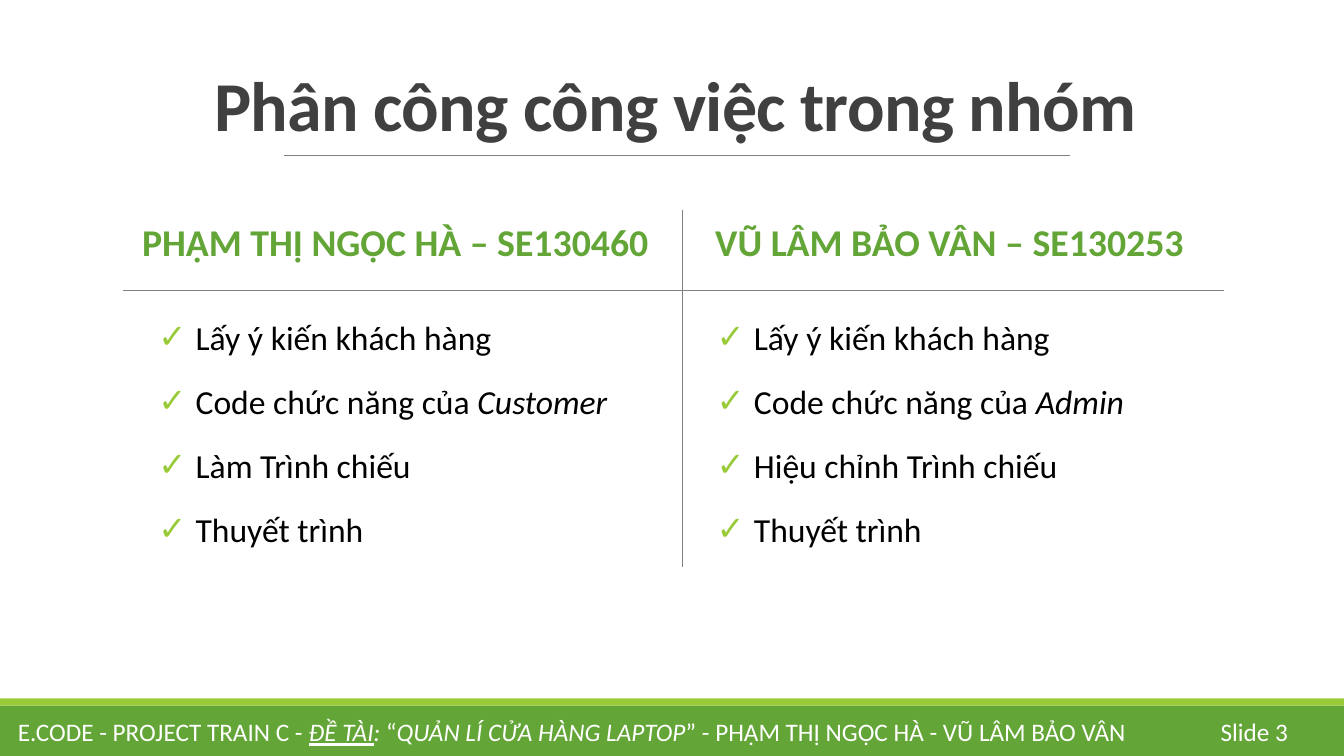
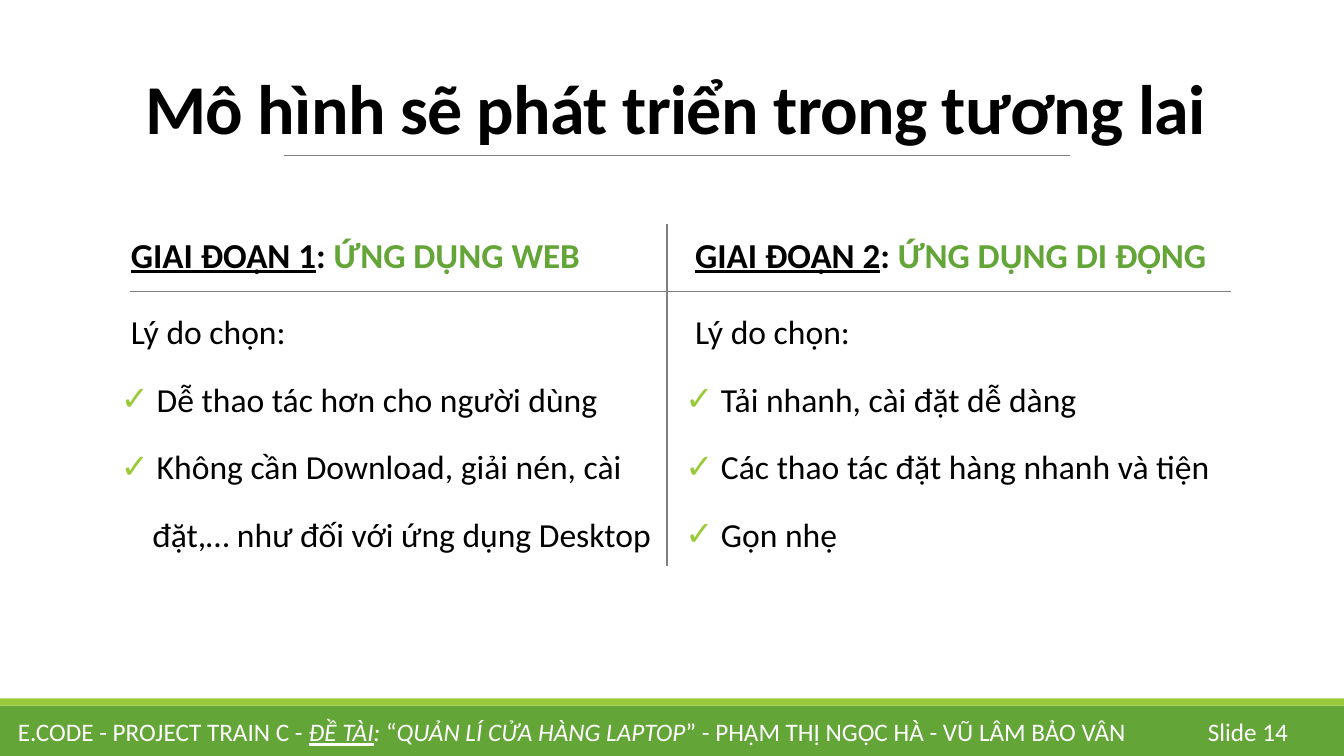
from dataclasses import dataclass

from lxml import etree
from pptx import Presentation
from pptx.dml.color import RGBColor
from pptx.enum.shapes import MSO_CONNECTOR, MSO_SHAPE
from pptx.enum.text import MSO_ANCHOR, MSO_AUTO_SIZE, PP_ALIGN
from pptx.oxml.ns import qn
from pptx.util import Cm, Pt

RECTANGLE = MSO_SHAPE.RECTANGLE
STRAIGHT = MSO_CONNECTOR.STRAIGHT
TOP, MIDDLE, BOTTOM = MSO_ANCHOR.TOP, MSO_ANCHOR.MIDDLE, MSO_ANCHOR.BOTTOM
LEFT, CENTER, RIGHT = PP_ALIGN.LEFT, PP_ALIGN.CENTER, PP_ALIGN.RIGHT
NO_AUTOFIT = MSO_AUTO_SIZE.NONE
TITLE_ONLY = 5


@dataclass(frozen=True)
class Theme:
    font: str = "Calibri"
    green: str = "63A537"
    lime: str = "99CB38"
    gray: str = "808080"
    dark: str = "404040"
    black: str = "000000"
    white: str = "FFFFFF"
    title_size: float = 50
    member_size: float = 27
    phase_size: float = 25
    body_size: float = 24
    footer_size: float = 18


THEME = Theme()


@dataclass(frozen=True)
class Box:
    """A frame in centimetres."""
    left: float
    top: float
    width: float
    height: float


@dataclass(frozen=True)
class Run:
    text: str
    color: str = THEME.black
    bold: bool = False
    italic: bool = False
    underline: bool = False


@dataclass(frozen=True)
class Line:
    """A paragraph; a checked one hangs its check mark in the indent."""
    runs: tuple[Run, ...]
    indent: float = 0
    checked: bool = False


@dataclass(frozen=True)
class TextStyle:
    size: float
    align: PP_ALIGN = LEFT
    anchor: MSO_ANCHOR = MIDDLE
    spacing: float = 1
    before: float = 0
    after: float = 0
    side_inset: float = 0.25


@dataclass(frozen=True)
class Column:
    header: Line
    header_box: Box
    header_align: PP_ALIGN
    lines: tuple[Line, ...]
    body_box: Box


@dataclass(frozen=True)
class Comparison:
    number: int
    title: str
    title_color: str
    title_box: Box
    header_size: float
    body_spacing: float
    columns: tuple[Column, Column]
    vertical: tuple[float, float, float, float]
    horizontal: tuple[float, float, float, float]


def write(shape, lines: tuple[Line, ...], style: TextStyle) -> None:
    frame = shape.text_frame
    frame.word_wrap = True
    frame.auto_size = NO_AUTOFIT
    frame.vertical_anchor = style.anchor
    frame.margin_left = frame.margin_right = Cm(style.side_inset)
    frame.margin_top = frame.margin_bottom = Cm(0.13)
    for index, line in enumerate(lines):
        paragraph = frame.add_paragraph() if index else frame.paragraphs[0]
        paragraph.alignment = style.align
        paragraph.line_spacing = style.spacing
        paragraph.space_before = Pt(style.before)
        paragraph.space_after = Pt(style.after)
        set_indent(paragraph, line)
        for part in line.runs:
            run = paragraph.add_run()
            run.text = part.text
            font = run.font
            font.name, font.size = THEME.font, Pt(style.size)
            font.bold, font.italic = part.bold, part.italic
            font.underline = part.underline
            font.color.rgb = RGBColor.from_string(part.color)


def set_indent(paragraph, line: Line) -> None:
    properties = paragraph._p.get_or_add_pPr()
    properties.set("marL", str(Cm(line.indent)))
    properties.set("indent", str(-Cm(line.indent) if line.checked else 0))
    if line.checked:
        color = etree.SubElement(properties, qn("a:buClr"))
        etree.SubElement(color, qn("a:srgbClr")).set("val", THEME.lime)
        etree.SubElement(properties, qn("a:buFont")).set("typeface", THEME.font)
        etree.SubElement(properties, qn("a:buChar")).set("char", "✓")


def place(shape, box: Box) -> None:
    shape.left, shape.top = Cm(box.left), Cm(box.top)
    shape.width, shape.height = Cm(box.width), Cm(box.height)


def add_text(slide, box: Box, lines: tuple[Line, ...], style: TextStyle) -> None:
    shape = slide.shapes.add_textbox(0, 0, 0, 0)
    place(shape, box)
    write(shape, lines, style)


def add_band(slide, top: float, height: float, color: str) -> None:
    band = slide.shapes.add_shape(RECTANGLE, 0, Cm(top), Cm(33.87), Cm(height))
    band.shadow.inherit = False
    band.fill.solid()
    band.fill.fore_color.rgb = RGBColor.from_string(color)
    band.line.fill.background()


def add_rule(slide, ends: tuple[float, float, float, float], width: float) -> None:
    rule = slide.shapes.add_connector(STRAIGHT, *(Cm(value) for value in ends))
    rule.line.color.rgb = RGBColor.from_string(THEME.gray)
    rule.line.width = Pt(width)
    etree.SubElement(rule._element.spPr, qn("a:effectLst"))


def add_frame(slide, number: int) -> None:
    """Draw the bands, title rule and footer that every slide has."""
    add_band(slide, 17.78, 1.27, THEME.green)
    add_band(slide, 17.6, 0.18, THEME.lime)
    add_rule(slide, (7.16, 3.91, 26.97, 3.91), 0.5)
    white = THEME.white
    footer = Line((
        Run("E.CODE - PROJECT TRAIN C - ", white),
        Run("ĐỀ TÀI", white, italic=True, underline=True),
        Run(": ", white, italic=True),
        Run("“", white),
        Run("QUẢN LÍ CỬA HÀNG LAPTOP", white, italic=True),
        Run("” - PHẠM THỊ NGỌC HÀ - VŨ LÂM BẢO VÂN", white),
    ))
    size = THEME.footer_size
    add_text(slide, Box(0.2, 17.93, 29.5, 1.02), (footer,), TextStyle(size))
    add_text(slide, Box(30.02, 17.93, 2.69, 1.02),
             (Line((Run(f"Slide {number}", white),)),), TextStyle(size, RIGHT))


def add_title(slide, content: Comparison) -> None:
    title = slide.shapes.title
    place(title, content.title_box)
    line = Line((Run(content.title, content.title_color, bold=True),))
    write(title, (line,), TextStyle(THEME.title_size, CENTER, BOTTOM, 0.85))
    for run in title.text_frame.paragraphs[0].runs:
        run._r.get_or_add_rPr().set("spc", "-50")


def add_comparison(presentation, content: Comparison) -> None:
    slide = presentation.slides.add_slide(presentation.slide_layouts[TITLE_ONLY])
    add_frame(slide, content.number)
    add_title(slide, content)
    body_style = TextStyle(THEME.body_size, LEFT, TOP, content.body_spacing, 12, 2, 0)
    for column in content.columns:
        header_style = TextStyle(content.header_size, column.header_align,
                                 MIDDLE, 0.9, 12, 2)
        add_text(slide, column.header_box, (column.header,), header_style)
        add_text(slide, column.body_box, column.lines, body_style)
    add_rule(slide, content.vertical, 1)
    add_rule(slide, content.horizontal, 1)


def member_column(name: str, role: str, slides_task: str, align: PP_ALIGN,
                  header_box: Box, body_box: Box) -> Column:
    tasks = (
        (Run("Lấy ý kiến khách hàng"),),
        (Run("Code chức năng của "), Run(role, italic=True)),
        (Run(slides_task),),
        (Run("Thuyết trình"),),
    )
    lines = tuple(Line(runs, 0.94, True) for runs in tasks)
    header = Line((Run(name, THEME.green, bold=True),))
    return Column(header, header_box, align, lines, body_box)


def phase_column(number: int, name: str, left: float, reasons: tuple[str, ...],
                 continuation: str = "") -> Column:
    header = Line((
        Run(f"GIAI ĐOẠN {number}", bold=True, underline=True),
        Run(": ", bold=True),
        Run(name, THEME.green, bold=True),
    ))
    lines = [Line((Run("Lý do chọn:"),), 0.25)]
    lines += [Line((Run(reason),), 0.9, True) for reason in reasons]
    if continuation:
        lines.append(Line((Run(continuation),), 0.79))
    return Column(header, Box(left, 5.44, 13.72, 2.06), LEFT,
                  tuple(lines), Box(left, 7.49, 13.72, 7.49))


TEAM = Comparison(
    3, "Phân công công việc trong nhóm", THEME.dark, Box(3.05, 0.79, 27.94, 3.02),
    THEME.member_size, 1.1,
    (
        member_column("PHẠM THỊ NGỌC HÀ – SE130460", "Customer", "Làm Trình chiếu",
                      LEFT, Box(3.33, 5.13, 13.54, 2.06), Box(3.99, 7.75, 12.65, 6.45)),
        member_column("VŨ LÂM BẢO VÂN – SE130253", "Admin", "Hiệu chỉnh Trình chiếu",
                      CENTER, Box(17.07, 5.13, 13.72, 2.06),
                      Box(18.06, 7.75, 12.75, 6.45)),
    ),
    (17.2, 5.28, 17.2, 14.3), (3.1, 7.32, 30.84, 7.32),
)

FUTURE = Comparison(
    14, "Mô hình sẽ phát triển trong tương lai", THEME.black,
    Box(3.05, 0.94, 27.94, 2.95), THEME.phase_size, 1.2,
    (
        phase_column(1, "ỨNG DỤNG WEB", 3.05,
                     ("Dễ thao tác hơn cho người dùng",
                      "Không cần Download, giải nén, cài"),
                     "đặt,… như đối với ứng dụng Desktop"),
        phase_column(2, "ỨNG DỤNG DI ĐỘNG", 17.27,
                     ("Tải nhanh, cài đặt dễ dàng",
                      "Các thao tác đặt hàng nhanh và tiện",
                      "Gọn nhẹ")),
    ),
    (16.81, 5.64, 16.81, 14.27), (3.28, 7.34, 31.01, 7.34),
)


def main() -> None:
    presentation = Presentation()
    presentation.slide_width, presentation.slide_height = Cm(33.87), Cm(19.05)
    for content in (TEAM, FUTURE):
        add_comparison(presentation, content)
    presentation.save("out.pptx")


if __name__ == "__main__":
    main()
